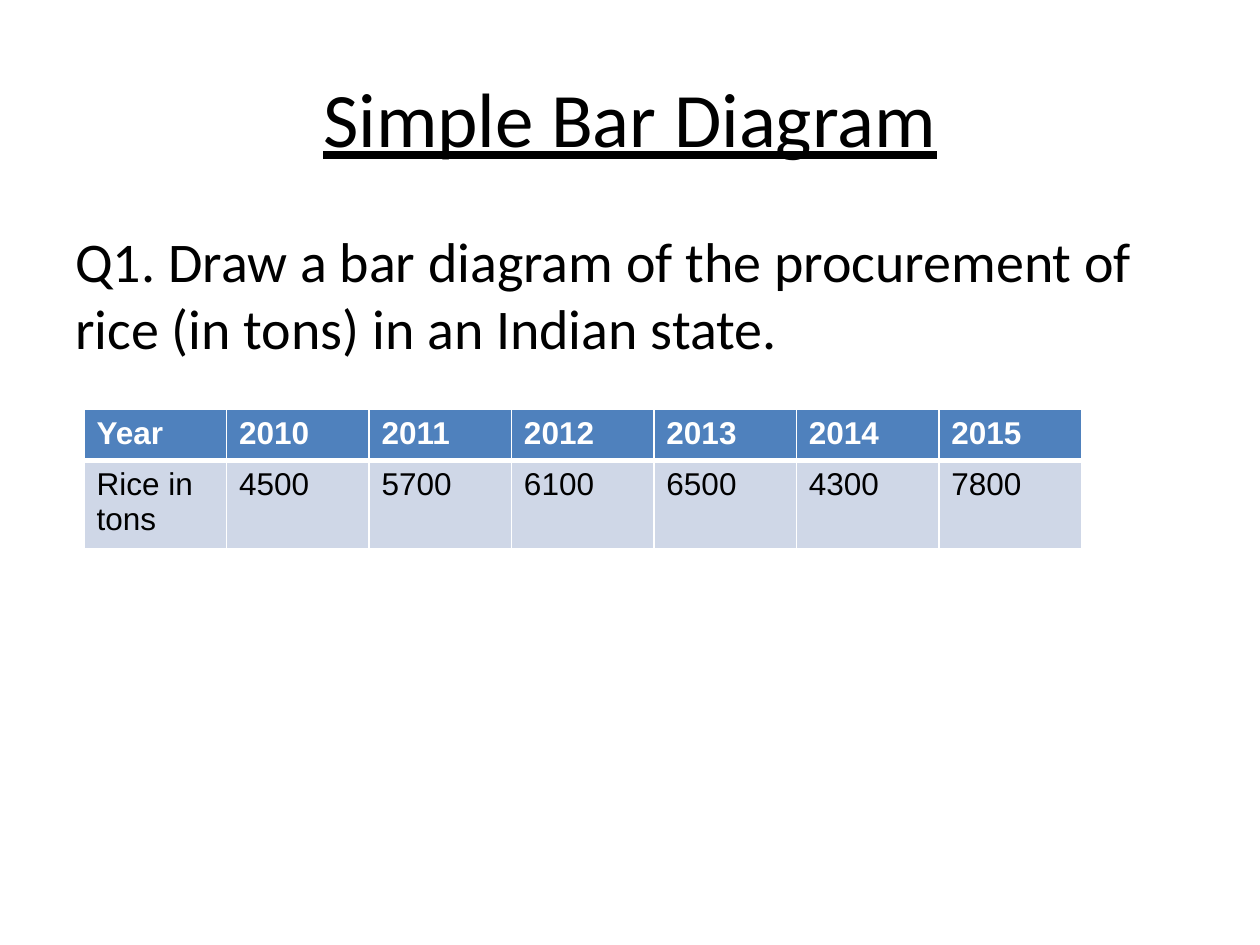
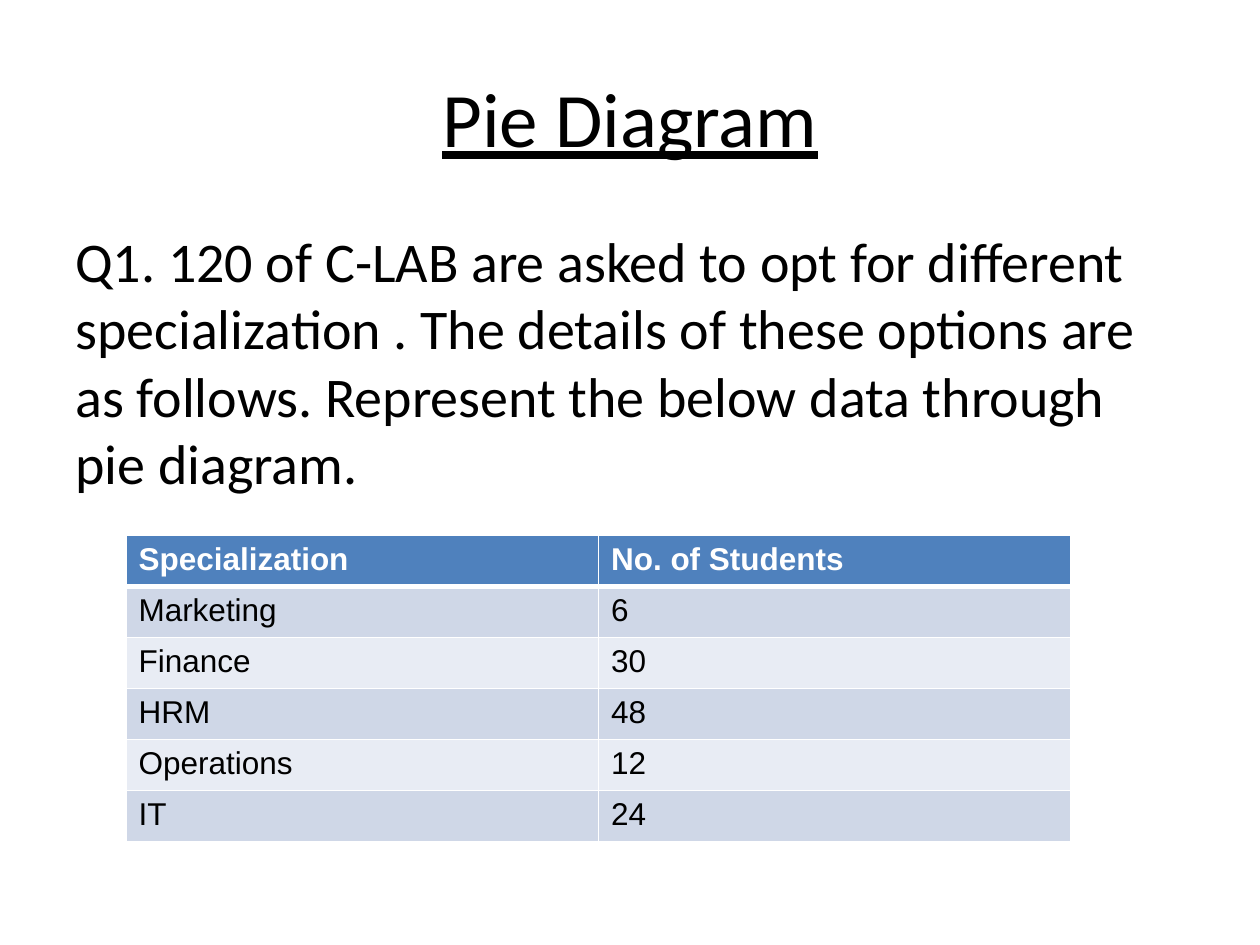
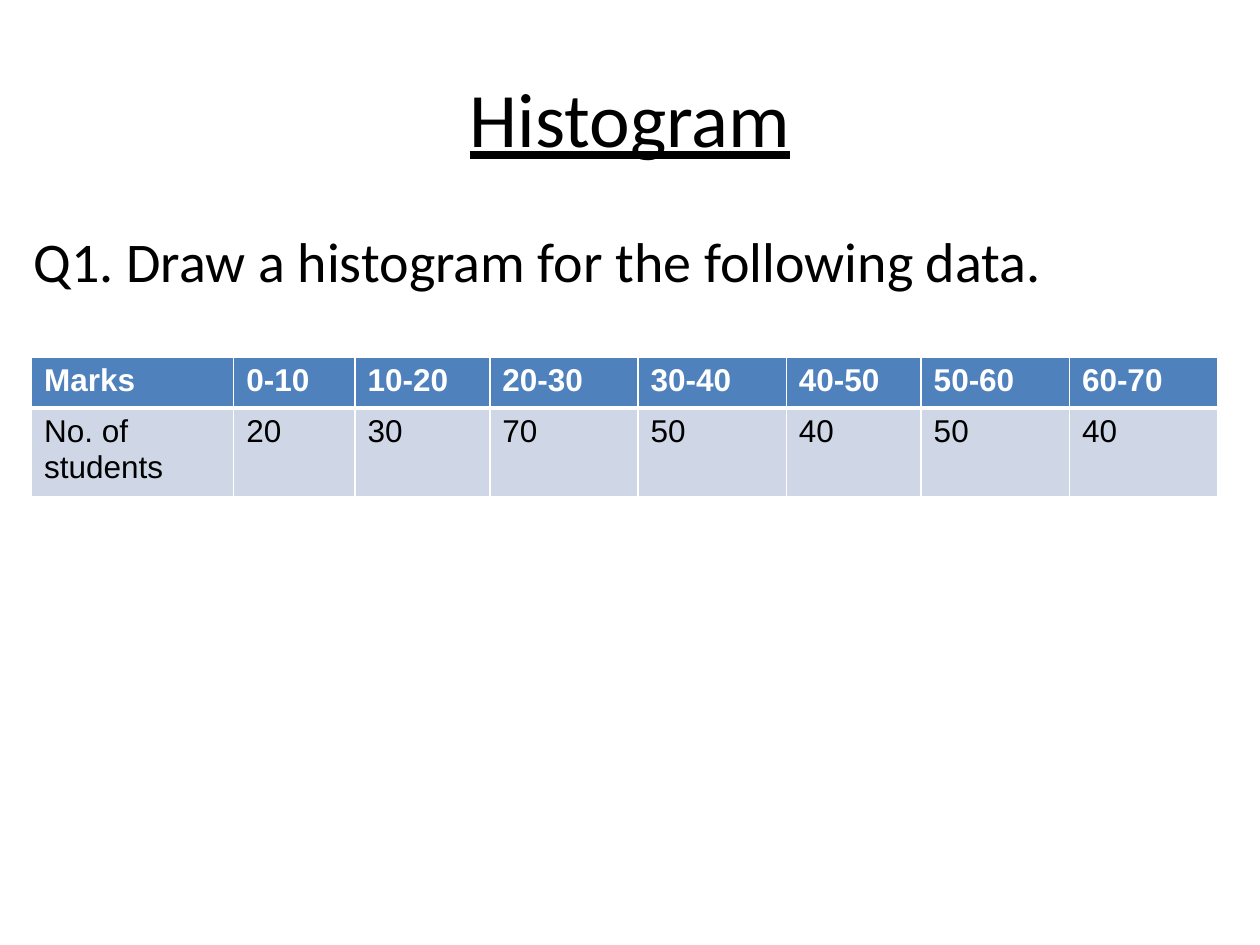
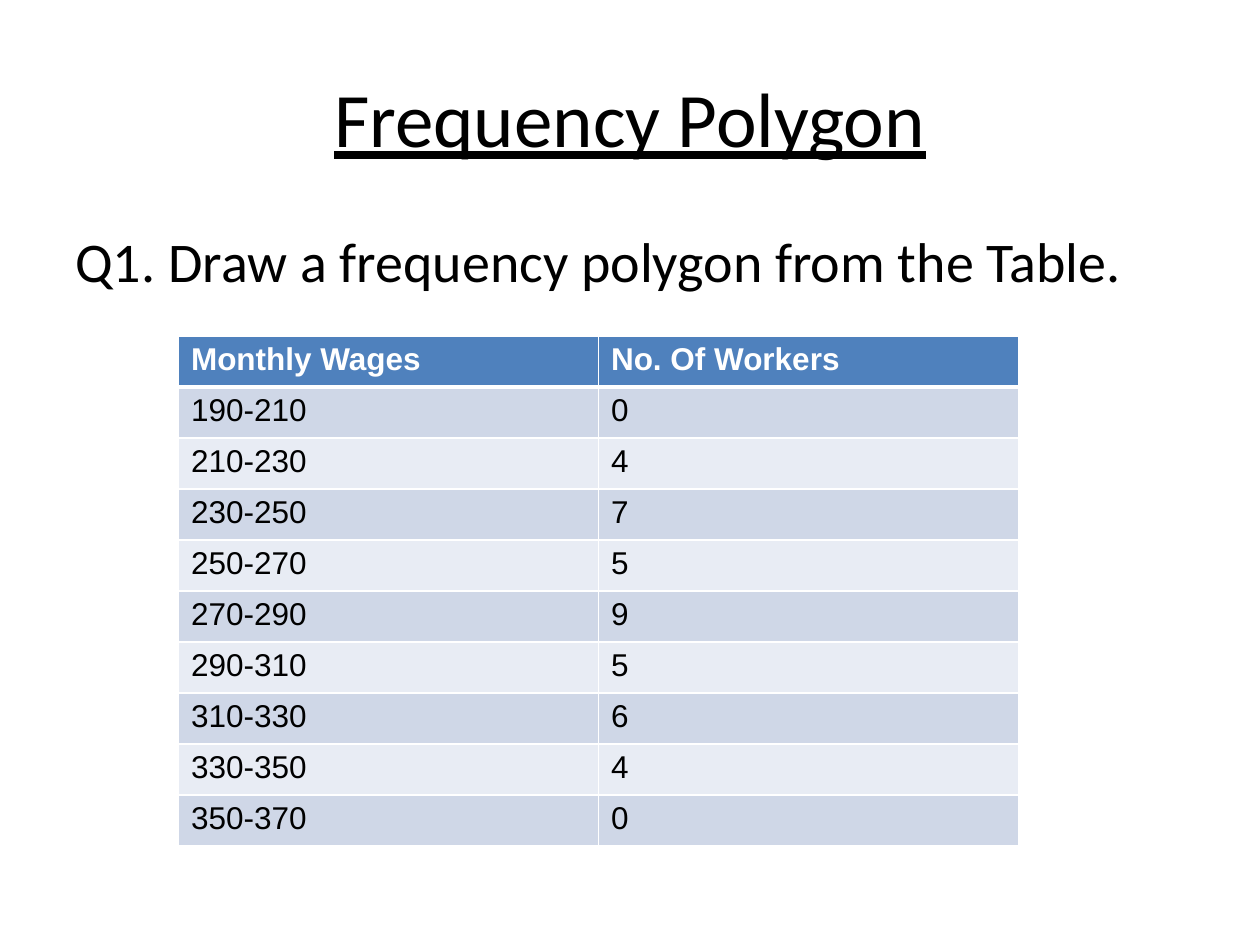
from dataclasses import dataclass

from lxml import etree
from pptx import Presentation
from pptx.dml.color import RGBColor
from pptx.enum.text import MSO_ANCHOR, PP_ALIGN
from pptx.oxml.ns import qn
from pptx.util import Inches, Pt

CENTER, LEFT = PP_ALIGN.CENTER, PP_ALIGN.LEFT
MIDDLE, TOP = MSO_ANCHOR.MIDDLE, MSO_ANCHOR.TOP

SLIDE_WIDTH, SLIDE_HEIGHT = Inches(10), Inches(7.5)
GRID_COLUMNS, GRID_ROWS = 60, 45
TABLE_ROW = 2.43
BLANK_LAYOUT = 6


@dataclass(frozen=True)
class Theme:
    text: str = "000000"
    background: str = "FFFFFF"
    header_fill: str = "4F81BD"
    bands: tuple = ("CFD7E7", "E8ECF4")
    text_font: str = "Calibri"
    table_font: str = "Arial"
    title_size: int = 44
    question_size: int = 32
    table_size: int = 18
    border: int = 1
    header_border: int = 3


THEME = Theme()
TITLE_FORMAT = {"name": THEME.text_font, "size": Pt(THEME.title_size), "underline": True}
QUESTION_FORMAT = {"name": THEME.text_font, "size": Pt(THEME.question_size)}
HEADER_FORMAT = {"name": THEME.table_font, "size": Pt(THEME.table_size), "bold": True}
CELL_FORMAT = HEADER_FORMAT | {"bold": False}

TITLE_BOX = (3, 1.8, 54, 7.5)
QUESTION_BOX = (3, 10.5, 54, 29.7)
WIDE_QUESTION_BOX = (1, 10.5, 58, 29.7)

QUESTION_SLIDES = [
    {
        "title": "Simple Bar Diagram",
        "question": "Q1. Draw a bar diagram of the procurement of rice (in tons) in an Indian state.",
        "table_place": (4, 19.5, 47.5),
        "weights": [1] * 7,
        "rows": [
            ["Year", "2010", "2011", "2012", "2013", "2014", "2015"],
            ["Rice in tons", "4500", "5700", "6100", "6500", "4300", "7800"],
        ],
    },
    {
        "title": "Pie Diagram",
        "question": "Q1. 120 of C-LAB are asked to opt for different specialization . "
                    "The details of these options are as follows. "
                    "Represent the below data through pie diagram.",
        "table_place": (6, 25.5, 45),
        "weights": [1, 1],
        "rows": [
            ["Specialization", "No. of Students"],
            ["Marketing", "6"],
            ["Finance", "30"],
            ["HRM", "48"],
            ["Operations", "12"],
            ["IT", "24"],
        ],
    },
    {
        "title": "Histogram",
        "question": "Q1. Draw a histogram for the following data.",
        "question_box": WIDE_QUESTION_BOX,
        "table_place": (1.5, 17, 56.5),
        "weights": [15, 9, 10, 11, 11, 10, 11, 11],
        "rows": [
            ["Marks", "0-10", "10-20", "20-30", "30-40", "40-50", "50-60", "60-70"],
            ["No. of students", "20", "30", "70", "50", "40", "50", "40"],
        ],
    },
    {
        "title": "Frequency Polygon",
        "question": "Q1. Draw a frequency polygon from the Table.",
        "table_place": (8.5, 16, 40),
        "weights": [1, 1],
        "rows": [
            ["Monthly Wages", "No. Of Workers"],
            ["190-210", "0"],
            ["210-230", "4"],
            ["230-250", "7"],
            ["250-270", "5"],
            ["270-290", "9"],
            ["290-310", "5"],
            ["310-330", "6"],
            ["330-350", "4"],
            ["350-370", "0"],
        ],
    },
]


def across(columns):
    return round(SLIDE_WIDTH * columns / GRID_COLUMNS)


def down(rows):
    return round(SLIDE_HEIGHT * rows / GRID_ROWS)


def write(text_frame, text, font_format, color, alignment=LEFT):
    paragraph = text_frame.paragraphs[0]
    paragraph.alignment = alignment
    run = paragraph.add_run()
    run.text = text
    for name, value in font_format.items():
        setattr(run.font, name, value)
    run.font.color.rgb = RGBColor.from_string(color)


def add_text(slide, box, text, font_format, alignment=LEFT, anchor=TOP):
    left, top, width, height = box
    shape = slide.shapes.add_textbox(across(left), down(top), across(width), down(height))
    text_frame = shape.text_frame
    text_frame.word_wrap = True
    text_frame.vertical_anchor = anchor
    write(text_frame, text, font_format, THEME.text, alignment)


def set_borders(cell, widths):
    properties = cell._tc.get_or_add_tcPr()
    for side, width in widths.items():
        line = etree.SubElement(properties, qn(f"a:ln{side}"), w=str(Pt(width)))
        fill = etree.SubElement(line, qn("a:solidFill"))
        etree.SubElement(fill, qn("a:srgbClr"), val=THEME.background)


def style_cell(cell, text, row_index):
    widths = dict.fromkeys("LRTB", THEME.border)
    if row_index == 0:
        widths["B"] = THEME.header_border
        fill, color, font_format = THEME.header_fill, THEME.background, HEADER_FORMAT
    else:
        if row_index == 1:
            del widths["T"]
        fill = THEME.bands[(row_index - 1) % len(THEME.bands)]
        color, font_format = THEME.text, CELL_FORMAT
    set_borders(cell, widths)
    cell.fill.solid()
    cell.fill.fore_color.rgb = RGBColor.from_string(fill)
    write(cell.text_frame, text, font_format, color)


def add_data_table(slide, place, rows, weights):
    left, top, width = place
    frame = slide.shapes.add_table(
        len(rows), len(weights), across(left), down(top),
        across(width), down(TABLE_ROW * len(rows)),
    )
    table = frame.table
    for column, weight in zip(table.columns, weights):
        column.width = across(width * weight / sum(weights))
    for row_index, texts in enumerate(rows):
        table.rows[row_index].height = down(TABLE_ROW)
        for column_index, text in enumerate(texts):
            style_cell(table.cell(row_index, column_index), text, row_index)


def add_question_slide(presentation, content):
    slide = presentation.slides.add_slide(presentation.slide_layouts[BLANK_LAYOUT])
    add_text(slide, TITLE_BOX, content["title"], TITLE_FORMAT, CENTER, MIDDLE)
    question_box = content.get("question_box", QUESTION_BOX)
    add_text(slide, question_box, content["question"], QUESTION_FORMAT)
    add_data_table(slide, content["table_place"], content["rows"], content["weights"])


def main():
    presentation = Presentation()
    presentation.slide_width = SLIDE_WIDTH
    presentation.slide_height = SLIDE_HEIGHT
    for content in QUESTION_SLIDES:
        add_question_slide(presentation, content)
    presentation.save("out.pptx")


if __name__ == "__main__":
    main()
